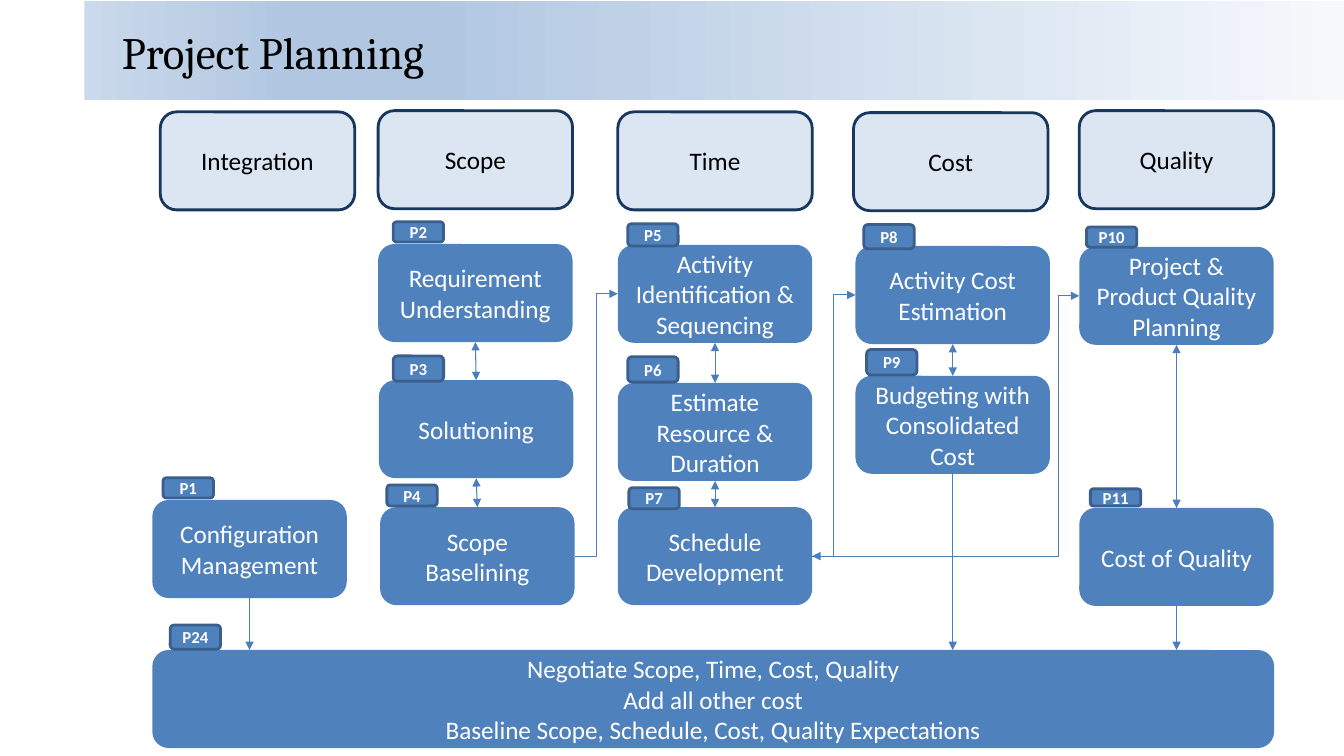
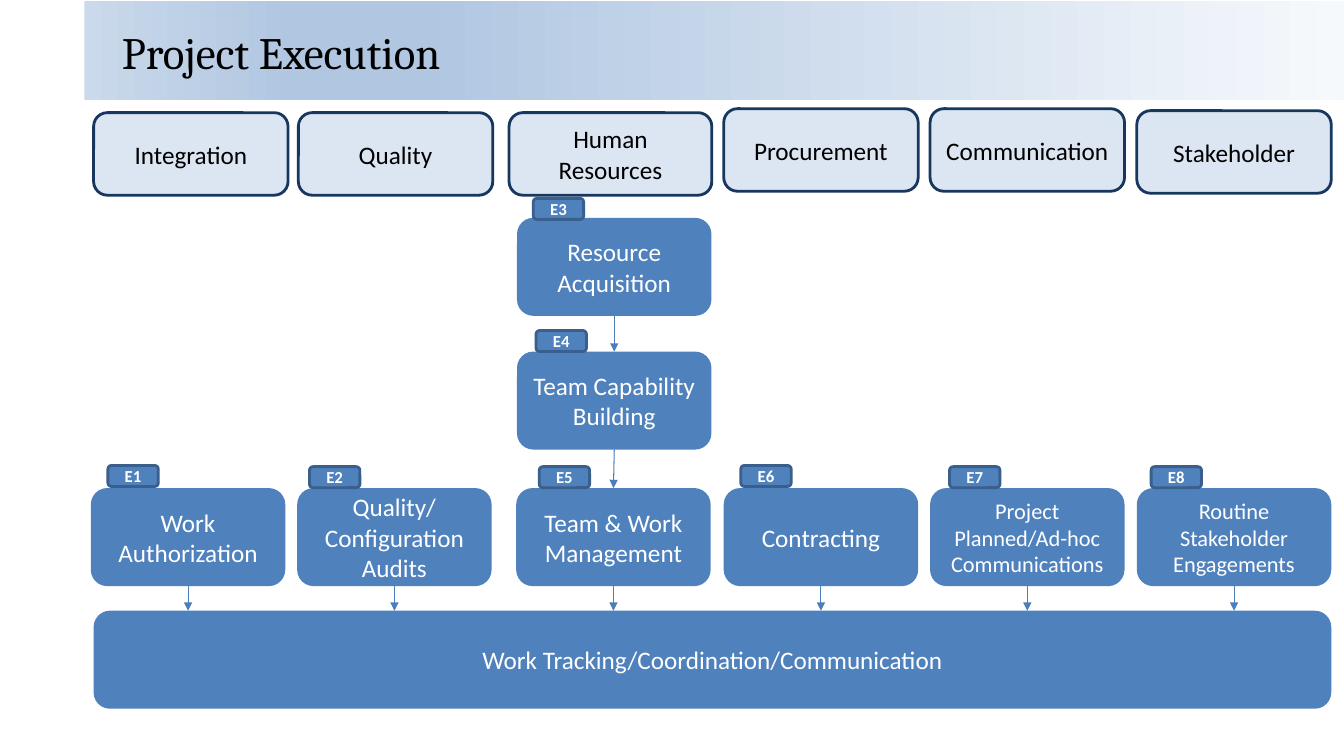
from lxml import etree
from pptx import Presentation
from pptx.dml.color import RGBColor
from pptx.enum.shapes import MSO_CONNECTOR, MSO_SHAPE
from pptx.enum.text import MSO_ANCHOR, PP_ALIGN
from pptx.oxml.ns import qn
from pptx.util import Cm, Pt

RECTANGLE, ROUNDED = MSO_SHAPE.RECTANGLE, MSO_SHAPE.ROUNDED_RECTANGLE
STRAIGHT, ELBOW = MSO_CONNECTOR.STRAIGHT, MSO_CONNECTOR.ELBOW
LEFT, CENTER, MIDDLE = PP_ALIGN.LEFT, PP_ALIGN.CENTER, MSO_ANCHOR.MIDDLE
TOP_SIDE, LEFT_SIDE, BOTTOM_SIDE, RIGHT_SIDE = range(4)
TITLE_ONLY = 5

COLORS = {
    "black": "000000", "white": "FFFFFF", "blue": "4F81BD", "arrow": "4B7EBC",
    "pale": "DCE6F2", "navy": "17375E", "tag_edge": "3A5F8C",
}
BAND_STOPS = [(0, "CAD9EB"), (17, "B0C6E1"), (26, "B0C6E1"), (100, "F6F9FC")]

# Looks: fill, outline and font of each kind of box
LOOKS = {
    "heading": {"fill": "pale", "edge": "navy", "color": "black",
                "font": {"size": Pt(18), "name": "Calibri"}},
    "step": {"fill": "blue", "edge": None, "color": "white",
             "font": {"size": Pt(18), "name": "Calibri"}},
    "small_step": {"fill": "blue", "edge": None, "color": "white",
                   "font": {"size": Pt(16), "name": "Calibri"}},
    "tag": {"fill": "blue", "edge": "tag_edge", "color": "white",
            "font": {"size": Pt(12), "name": "Calibri", "bold": True}},
}
TITLE_FONT = {"size": Pt(32), "name": "Cambria"}

# Lengths in centimetres
SLIDE_SIZE = (33.87, 19.05)
BAND = (2.13, 0.03, 31.73, 2.49)
TITLE = (2.82, 0.15, 29.92, 2.31)
BOX_WIDTH, BOX_HEIGHT, TAG_WIDTH = 4.9, 2.47, 1.27

# headings: text, left, top, width
# steps: key, text, left, top, look
# tags: text, left, top, height
# links: from, to, two-headed; elbows add the bend position
PLANNING = {
    "title": "Project Planning",
    "heading_height": 2.47,
    "headings": [
        ("Integration", 4.04, 2.82, BOX_WIDTH),
        ("Scope", 9.53, 2.79, BOX_WIDTH),
        ("Time", 15.57, 2.82, BOX_WIDTH),
        ("Cost", 21.51, 2.84, BOX_WIDTH),
        ("Quality", 27.2, 2.79, BOX_WIDTH),
    ],
    "steps": [
        ("P1", "Configuration Management", 3.84, 12.6, "step"),
        ("P2", "Requirement\nUnderstanding", 9.53, 6.15, "step"),
        ("P3", "Solutioning", 9.55, 9.58, "step"),
        ("P4", "Scope Baselining", 9.58, 12.78, "step"),
        ("P5", "Activity Identification & Sequencing", 15.57, 6.17, "step"),
        ("P6", "Estimate\nResource & Duration", 15.57, 9.65, "step"),
        ("P7", "Schedule Development", 15.57, 12.78, "step"),
        ("P8", "Activity Cost\nEstimation", 21.56, 6.2, "step"),
        ("P9", "Budgeting with Consolidated Cost", 21.56, 9.47, "step"),
        ("P10", "Project & Product Quality Planning", 27.2, 6.22, "step"),
        ("P11", "Cost of Quality", 27.2, 12.8, "step"),
    ],
    "bar": ("Negotiate Scope, Time, Cost, Quality\nAdd all other cost\n"
            "Baseline Scope, Schedule, Cost, Quality Expectations",
            3.84, 16.38, 28.27),
    "tags": [
        ("P1", 4.11, 12.04, 0.51), ("P2", 9.91, 5.59, 0.51),
        ("P3", 9.91, 8.97, 0.64), ("P4", 9.75, 12.22, 0.53),
        ("P5", 15.82, 5.64, 0.56), ("P6", 15.82, 8.99, 0.64),
        ("P7", 15.85, 12.29, 0.53), ("P8", 21.77, 5.66, 0.61),
        ("P9", 21.84, 8.81, 0.64), ("P10", 27.38, 5.72, 0.51),
        ("P11", 27.48, 12.32, 0.43), ("P24", 4.29, 15.75, 0.61),
    ],
    "down_links": [
        ("P2", "P3", True), ("P3", "P4", True), ("P5", "P6", True),
        ("P6", "P7", True), ("P8", "P9", True), ("P10", "P11", True),
    ],
    "elbow_links": [
        ("P4", RIGHT_SIDE, "P5", LEFT_SIDE, False, 50),
        ("P7", RIGHT_SIDE, "P8", LEFT_SIDE, False, 50),
        ("P10", LEFT_SIDE, "P7", RIGHT_SIDE, True, 7.9),
    ],
    "bar_links": ["P1", "P9", "P11"],
}
EXECUTION = {
    "title": "Project Execution",
    "heading_height": 2.08,
    "headings": [
        ("Integration", 2.36, 2.84, BOX_WIDTH),
        ("Quality", 7.52, 2.84, BOX_WIDTH),
        ("Human Resources", 12.83, 2.84, 5.11),
        ("Procurement", 18.24, 2.74, BOX_WIDTH),
        ("Communication", 23.44, 2.74, BOX_WIDTH),
        ("Stakeholder", 28.65, 2.79, BOX_WIDTH),
    ],
    "steps": [
        ("E1", "Work Authorization", 2.29, 12.3, "step"),
        ("E2", "Quality/Configuration Audits", 7.49, 12.3, "step"),
        ("E3", "Resource Acquisition", 13.03, 5.49, "step"),
        ("E4", "Team Capability Building", 13.03, 8.86, "step"),
        ("E5", "Team & Work Management", 13.01, 12.3, "step"),
        ("E6", "Contracting", 18.24, 12.3, "step"),
        ("E7", "Project Planned/Ad-hoc Communications", 23.44, 12.3, "small_step"),
        ("E8", "Routine Stakeholder Engagements", 28.65, 12.3, "small_step"),
    ],
    "bar": ("Work Tracking/Coordination/Communication", 2.36, 15.39, 31.19),
    "tags": [
        ("E1", 2.72, 11.73, 0.53), ("E2", 7.8, 11.76, 0.53),
        ("E3", 13.44, 5, 0.53), ("E4", 13.51, 8.33, 0.53),
        ("E5", 13.59, 11.76, 0.53), ("E6", 18.67, 11.73, 0.53),
        ("E7", 23.93, 11.76, 0.53), ("E8", 29.01, 11.76, 0.53),
    ],
    "down_links": [("E3", "E4", False), ("E4", "E5", False)],
    "elbow_links": [],
    "bar_links": ["E1", "E2", "E5", "E6", "E7", "E8"],
}


def rgb(name):
    return RGBColor.from_string(COLORS[name])


def set_font(frame, values, color, align):
    for para in frame.paragraphs:
        para.alignment = align
        for span in para.runs:
            for name, value in values.items():
                setattr(span.font, name, value)
            span.font.color.rgb = rgb(color)


def add_box(page, text, place, look_name):
    look = LOOKS[look_name]
    box = page.shapes.add_shape(ROUNDED, *map(Cm, place))
    box.shadow.inherit = False
    box.fill.solid()
    box.fill.fore_color.rgb = rgb(look["fill"])
    if look["edge"]:
        box.line.color.rgb = rgb(look["edge"])
        box.line.width = Pt(2)
    else:
        box.line.fill.background()
    frame = box.text_frame
    frame.text = text
    frame.word_wrap = True
    frame.vertical_anchor = MIDDLE
    if look_name == "tag":
        frame.margin_left = frame.margin_right = 0
    set_font(frame, look["font"], look["color"], CENTER)
    return box


def add_arrow(page, kind, start, start_side, end, end_side=None, both=False, bend=50):
    """Join two boxes; without an end side, drop straight onto the end box."""
    start_x = start.left + start.width // 2
    arrow = page.shapes.add_connector(
        kind, start_x, start.top + start.height, start_x, end.top)
    arrow.begin_connect(start, start_side)
    if end_side is not None:
        arrow.end_connect(end, end_side)
    arrow.line.color.rgb = rgb("arrow")
    arrow.line.width = Pt(0.75)
    properties = arrow.element.spPr
    line = properties.find(qn("a:ln"))
    for tag in ("a:headEnd", "a:tailEnd") if both else ("a:tailEnd",):
        etree.SubElement(line, qn(tag), type="triangle")
    etree.SubElement(properties, qn("a:effectLst"))
    if bend != 50:
        guides = next(properties.iter(qn("a:avLst")))
        etree.SubElement(guides, qn("a:gd"), name="adj1",
                         fmla=f"val {round(bend * 1000)}")


def add_band(page, layout):
    """Draw the gradient band and move it to the layout, behind the title."""
    band = page.shapes.add_shape(RECTANGLE, *map(Cm, BAND))
    band.shadow.inherit = False
    band.line.fill.background()
    band.fill.gradient()
    band.fill.gradient_angle = 0
    stops = next(band.element.iter(qn("a:gsLst")))
    for stop in list(stops):
        stops.remove(stop)
    for position, color in BAND_STOPS:
        stop = etree.SubElement(stops, qn("a:gs"), pos=str(position * 1000))
        etree.SubElement(stop, qn("a:srgbClr"), val=color)
    layout.element.cSld.spTree.insert(2, band.element)


def set_title(page, text):
    title = page.shapes.title
    title.left, title.top, title.width, title.height = map(Cm, TITLE)
    title.text_frame.text = text
    title.text_frame.vertical_anchor = MIDDLE
    set_font(title.text_frame, TITLE_FONT, "black", LEFT)


def fill_page(page, content):
    set_title(page, content["title"])

    # Boxes
    for text, left, top, width in content["headings"]:
        add_box(page, text, (left, top, width, content["heading_height"]), "heading")
    steps = {
        key: add_box(page, text, (left, top, BOX_WIDTH, BOX_HEIGHT), look)
        for key, text, left, top, look in content["steps"]
    }
    text, left, top, width = content["bar"]
    bar = add_box(page, text, (left, top, width, BOX_HEIGHT), "step")

    # Arrows
    for start, end, both in content["down_links"]:
        add_arrow(page, STRAIGHT, steps[start], BOTTOM_SIDE, steps[end], TOP_SIDE, both)
    for start, start_side, end, end_side, both, bend in content["elbow_links"]:
        add_arrow(page, ELBOW, steps[start], start_side, steps[end], end_side, both, bend)
    for start in content["bar_links"]:
        add_arrow(page, STRAIGHT, steps[start], BOTTOM_SIDE, bar)

    # Number tags
    for text, left, top, height in content["tags"]:
        add_box(page, text, (left, top, TAG_WIDTH, height), "tag")


def main():
    deck = Presentation()
    deck.slide_width, deck.slide_height = map(Cm, SLIDE_SIZE)
    layout = deck.slide_layouts[TITLE_ONLY]
    pages = [deck.slides.add_slide(layout) for _ in range(2)]
    add_band(pages[0], layout)
    for page, content in zip(pages, (PLANNING, EXECUTION)):
        fill_page(page, content)
    deck.save("out.pptx")


if __name__ == "__main__":
    main()
